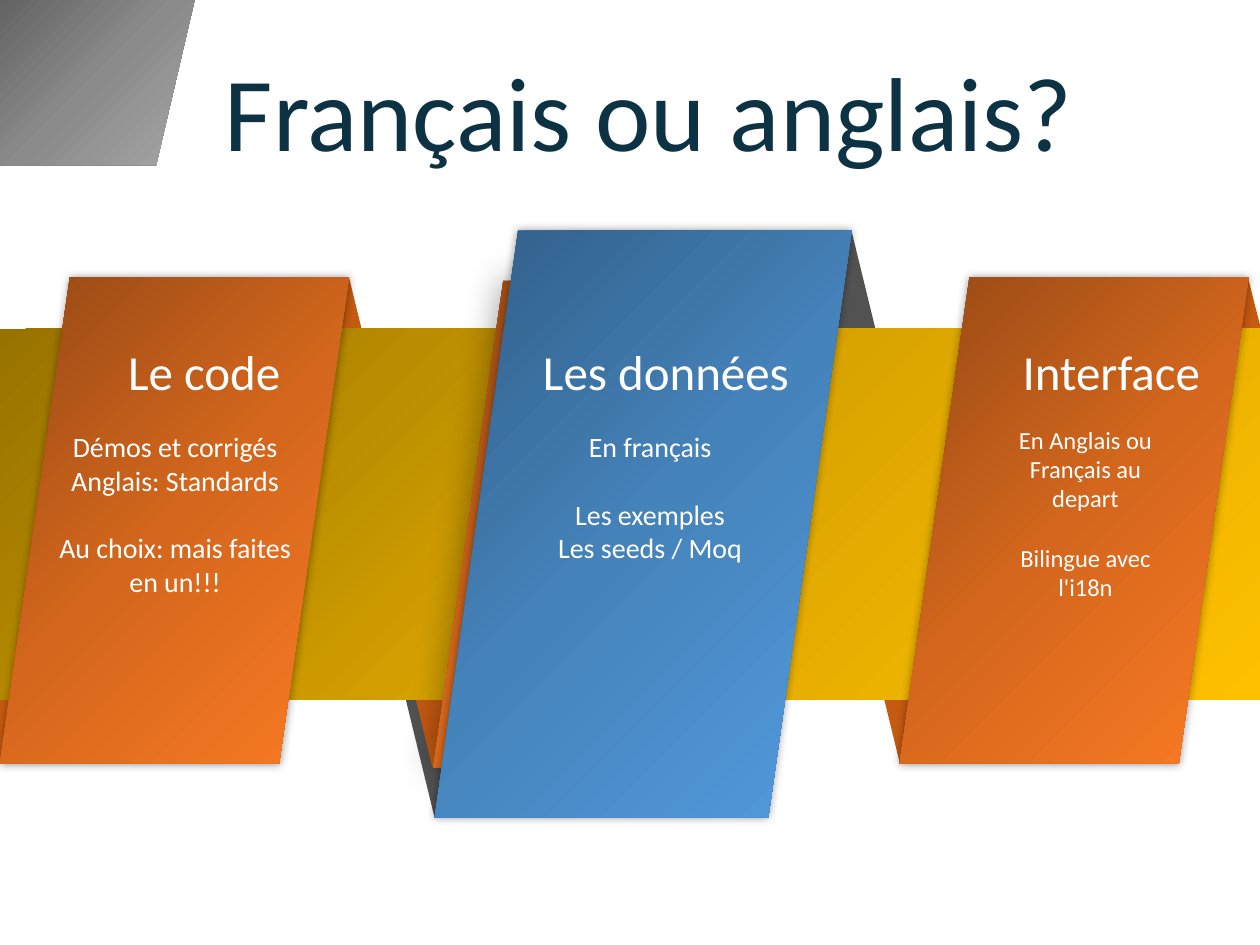
from dataclasses import dataclass

from lxml.etree import SubElement
from pptx import Presentation
from pptx.dml.color import RGBColor
from pptx.enum.shapes import MSO_SHAPE as SHAPE
from pptx.enum.text import MSO_ANCHOR as ANCHOR, PP_ALIGN as ALIGN
from pptx.oxml.ns import qn
from pptx.util import Inches, Pt


@dataclass(frozen=True)
class Theme:
    font: str = "Calibri"
    title: str = "0C3244"
    white: str = "FFFFFF"
    black: str = "000000"
    orange_fold: str = "C55A11"
    grey_fold: str = "525252"
    gold: tuple = ("977200", "D7A200", "FFC000")
    orange: tuple = ("954815", "D4671D", "FB7A23")
    blue: tuple = ("305C84", "4583BB", "529BDE")
    grey: tuple = ("626262", "8B8B8B", "A5A5A5")
    title_size: int = 60
    heading_size: int = 28
    body_size: int = 16
    small_size: int = 14
    line_height: float = 1.22


T = Theme()


def add_gradient(spPr, colors):
    grad = SubElement(spPr, qn("a:gradFill"), rotWithShape="1")
    stops = SubElement(grad, qn("a:gsLst"))
    for pos, color in zip((0, 50000, 100000), colors):
        stop = SubElement(stops, qn("a:gs"), pos=str(pos))
        SubElement(stop, qn("a:srgbClr"), val=color)
    SubElement(grad, qn("a:lin"), ang="2700000", scaled="0")
    geometry = spPr.find(qn("a:prstGeom"))
    if geometry is None:
        geometry = spPr.find(qn("a:custGeom"))
    geometry.addnext(grad)


def paint(s, fill):
    s.shadow.inherit = False
    s.line.fill.background()
    if isinstance(fill, tuple):
        add_gradient(s.element.spPr, fill)
    else:
        s.fill.solid()
        s.fill.fore_color.rgb = RGBColor.from_string(fill)


def add_glow_shadow(s, blur):
    effects = s.element.spPr.find(qn("a:effectLst"))
    shadow = SubElement(effects, qn("a:outerShdw"), blurRad=str(Pt(blur)),
                        dist="0", dir="0", algn="ctr", rotWithShape="0")
    color = SubElement(shadow, qn("a:srgbClr"), val=T.black)
    SubElement(color, qn("a:alpha"), val="40000")


def add_block(slide, kind, box, fill, flip=False, blur=0):
    s = slide.shapes.add_shape(kind, *map(Inches, box))
    paint(s, fill)
    if flip:
        s.element.spPr.find(qn("a:xfrm")).set("flipH", "1")
    if blur:
        add_glow_shadow(s, blur)


def add_polygon(slide, points, fill):
    start, *rest = [(Inches(x), Inches(y)) for x, y in points]
    builder = slide.shapes.build_freeform(*start)
    builder.add_line_segments(rest, close=True)
    paint(builder.convert_to_shape(), fill)


def add_text(slide, box, groups, size, color=T.white, anchor=ANCHOR.TOP,
             line_spacing=None):
    tf = slide.shapes.add_textbox(*map(Inches, box)).text_frame
    tf.word_wrap = True
    tf.vertical_anchor = anchor
    tf.margin_left = tf.margin_right = tf.margin_top = tf.margin_bottom = 0
    p = tf.paragraphs[0]
    for g, group in enumerate(groups):
        for i, text in enumerate(group):
            if g or i:
                p = tf.add_paragraph()
            if g and not i:
                p.space_before = Pt(size * T.line_height)
            p.alignment = ALIGN.CENTER
            if line_spacing:
                p.line_spacing = Pt(line_spacing)
            r = p.add_run()
            r.text = text
            r.font.name = T.font
            r.font.size = Pt(size)
            r.font.color.rgb = RGBColor.from_string(color)


def add_folds(slide):
    def lower_fold(left, top, fill):
        add_block(slide, SHAPE.FLOWCHART_DATA, (left, top, 1.5, 1.23), fill, flip=True)

    add_polygon(slide, [(9.91, 2.22), (10, 2.58), (10, 3.45), (7.97, 3.44),
                        (7.7, 2.23)], T.orange_fold)
    lower_fold(3.15, 5.26, T.grey_fold)
    add_polygon(slide, [(1.21, 6.04), (0.9, 4.81), (0.01, 4.79), (-0.01, 6.04)],
                T.orange_fold)
    add_polygon(slide, [(7.06, 3.07), (6.76, 1.84), (4.11, 1.85), (4.32, 3.08)],
                T.grey_fold)
    lower_fold(6.84, 4.82, T.orange_fold)
    lower_fold(3.13, 4.85, T.orange_fold)
    add_polygon(slide, [(3.07, 3.43), (2.77, 2.2), (0.56, 2.21), (0.82, 3.42)],
                T.orange_fold)


def add_panels(slide):
    add_block(slide, SHAPE.RECTANGLE, (0, 2.61, 10, 2.94), T.gold)
    for left, top, blur in ((0, 2.2, 5), (3.44, 2.23, 20), (7.14, 2.2, 5)):
        add_block(slide, SHAPE.FLOWCHART_DATA, (left, top, 2.77, 3.86), T.orange,
                  blur=blur)
    add_block(slide, SHAPE.FLOWCHART_DATA, (3.45, 1.83, 3.31, 4.66), T.blue, blur=5)


def add_topics(slide):
    topics = [
        ("Le code", 0.7, 1.84, (0.47, 3.41, 1.84, 1.68), T.body_size,
         [["Démos et corrigés Anglais: Standards"],
          ["Au choix: mais faites en un!!!"]]),
        ("Les données", 4.11, 2.35, (4.11, 3.41, 2.1, 1.85), T.body_size,
         [["En français"], ["Les exemples", "Les seeds / Moq"]]),
        ("Interface", 7.91, 1.82, (7.92, 3.37, 1.39, 1.68), T.small_size,
         [["En Anglais ou Français au depart"], ["Bilingue avec l'i18n"]]),
    ]
    for heading, left, width, body_box, size, groups in topics:
        add_text(slide, body_box, groups, size)
        add_text(slide, (left, 2.71, width, 0.5), [[heading]], T.heading_size)


def main():
    prs = Presentation()
    prs.slide_width, prs.slide_height = Inches(10), Inches(7.5)
    slide = prs.slides.add_slide(prs.slide_layouts[6])
    add_folds(slide)
    add_panels(slide)
    add_text(slide, (1.44, 0.41, 7.42, 1.01), [["Français ou anglais?"]],
             T.title_size, color=T.title, anchor=ANCHOR.MIDDLE, line_spacing=65)
    add_topics(slide)
    add_polygon(slide, [(-0.02, 1.31), (-0.01, -0.03), (1.55, -0.02), (1.24, 1.31)],
                T.grey)
    prs.save("out.pptx")


if __name__ == "__main__":
    main()
